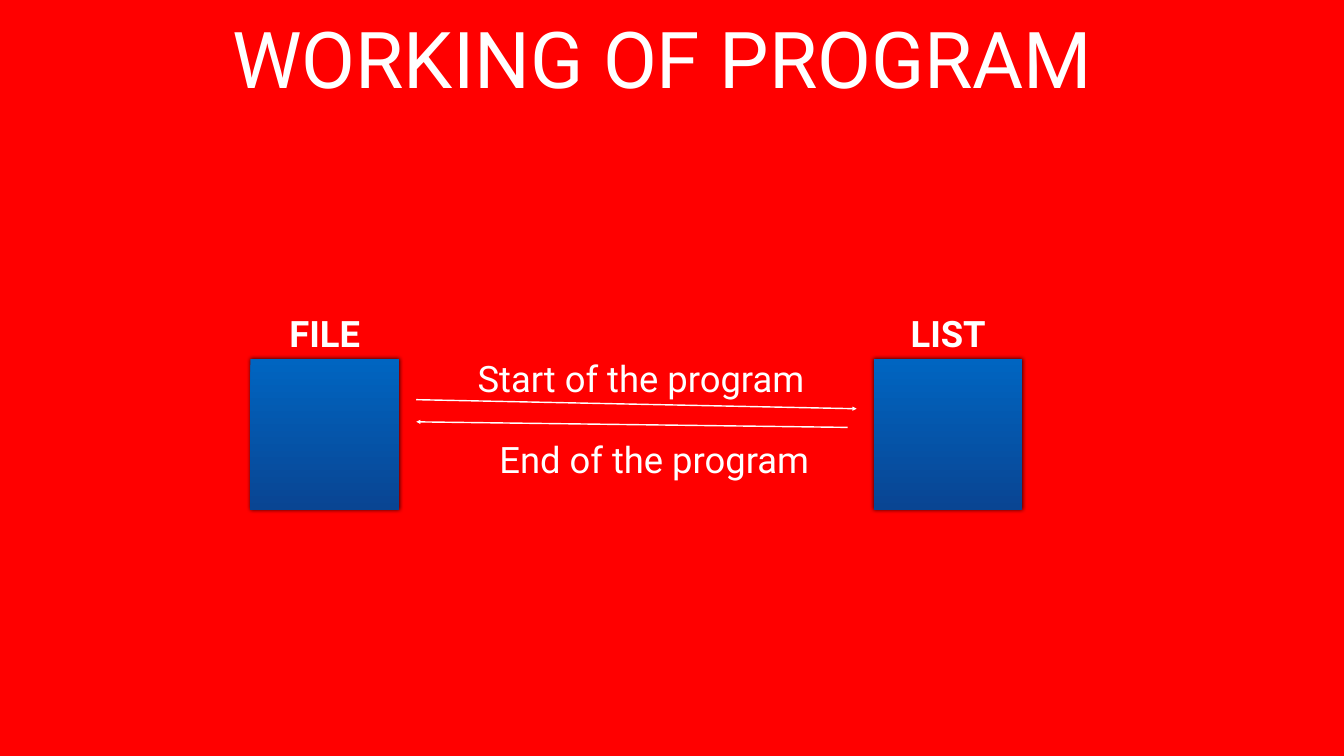
from lxml import etree
from pptx import Presentation, util as u
from pptx.dml.color import RGBColor
from pptx.enum import shapes, text
from pptx.oxml import parse_xml
from pptx.oxml.ns import nsdecls, qn

THEME = {
    "font": "Roboto",
    "background": RGBColor.from_string("FF0000"),
    "ink": RGBColor.from_string("FFFFFF"),
    "box_top": RGBColor.from_string("0065C1"),
    "box_bottom": RGBColor.from_string("094593"),
    "title_size": u.Pt(112),
    "label_size": u.Pt(52),
    "arrow_width": u.Pt(2),
    "inset": u.Inches(0.06),
}
SHADOW = (
    f'<a:outerShdw {nsdecls("a")} blurRad="76200" dist="0" dir="18900000">'
    '<a:srgbClr val="000000"><a:alpha val="80000"/></a:srgbClr></a:outerShdw>'
)

# The trailing space takes part in the centring of the title.
TITLE = ("WORKING OF PROGRAM ", (2.61, -0.32, 21.46, 2.45))
# name, left of the box, width of the name, wraps
STORES = [("FILE", 4.97, 2.43, True), ("LIST", 17.34, 1.69, False)]
# caption, its place, start and end of the arrow
STEPS = [
    ("Start of the program", (8.82, 7.01, 7.8, 0.97), (8.26, 7.93), (17, 8.11)),
    ("End of the program", (9.73, 8.63, 6.51, 0.97), (16.82, 8.48), (8.26, 8.37)),
]
BOX_TOP, BOX_WIDTH, BOX_HEIGHT = 7.12, 2.95, 2.99
NAME_TOP, NAME_HEIGHT = 6.13, 0.97


def inches(values):
    return [u.Inches(value) for value in values]


def add_label(slide, words, place, size=THEME["label_size"], bold=False,
              anchor=text.MSO_ANCHOR.MIDDLE, wrap=True):
    frame = slide.shapes.add_textbox(*inches(place)).text_frame
    frame_format = {"word_wrap": wrap, "vertical_anchor": anchor}
    for side in ("left", "right", "top", "bottom"):
        frame_format[f"margin_{side}"] = THEME["inset"]
    for name, value in frame_format.items():
        setattr(frame, name, value)
    paragraph = frame.paragraphs[0]
    paragraph.alignment = text.PP_ALIGN.CENTER
    run = paragraph.add_run()
    run.text = words
    for name, value in {"name": THEME["font"], "size": size, "bold": bold}.items():
        setattr(run.font, name, value)
    run.font.color.rgb = THEME["ink"]


def add_store(slide, name, left, name_width, wrap):
    """Add a shaded box with its name centred above it."""
    box = slide.shapes.add_shape(
        shapes.MSO_SHAPE.RECTANGLE, *inches((left, BOX_TOP, BOX_WIDTH, BOX_HEIGHT)))
    box.line.fill.background()
    box.fill.gradient()
    box.fill.gradient_angle = 270
    for stop, colour, position in zip(
            box.fill.gradient_stops, (THEME["box_top"], THEME["box_bottom"]), (0, 1)):
        stop.color.rgb = colour
        stop.position = position
    box.shadow.inherit = False
    box._element.spPr.find(qn("a:effectLst")).append(parse_xml(SHADOW))
    name_left = left + (BOX_WIDTH - name_width) / 2
    add_label(slide, name, (name_left, NAME_TOP, name_width, NAME_HEIGHT),
              bold=True, wrap=wrap)


def add_arrow(slide, start, end):
    arrow = slide.shapes.add_connector(
        shapes.MSO_CONNECTOR.STRAIGHT, *inches(start + end))
    arrow.line.color.rgb = THEME["ink"]
    arrow.line.width = THEME["arrow_width"]
    properties = arrow._element.spPr
    etree.SubElement(properties.find(qn("a:ln")), qn("a:tailEnd"), type="triangle")
    etree.SubElement(properties, qn("a:effectLst"))


def main():
    deck = Presentation()
    deck.slide_width, deck.slide_height = inches((26.67, 15))
    slide = deck.slides.add_slide(deck.slide_layouts[6])
    slide.background.fill.solid()
    slide.background.fill.fore_color.rgb = THEME["background"]

    add_label(slide, *TITLE, size=THEME["title_size"], anchor=text.MSO_ANCHOR.BOTTOM)
    for store in STORES:
        add_store(slide, *store)
    for caption, place, start, end in STEPS:
        add_arrow(slide, start, end)
        add_label(slide, caption, place)
    deck.save("out.pptx")


if __name__ == "__main__":
    main()
